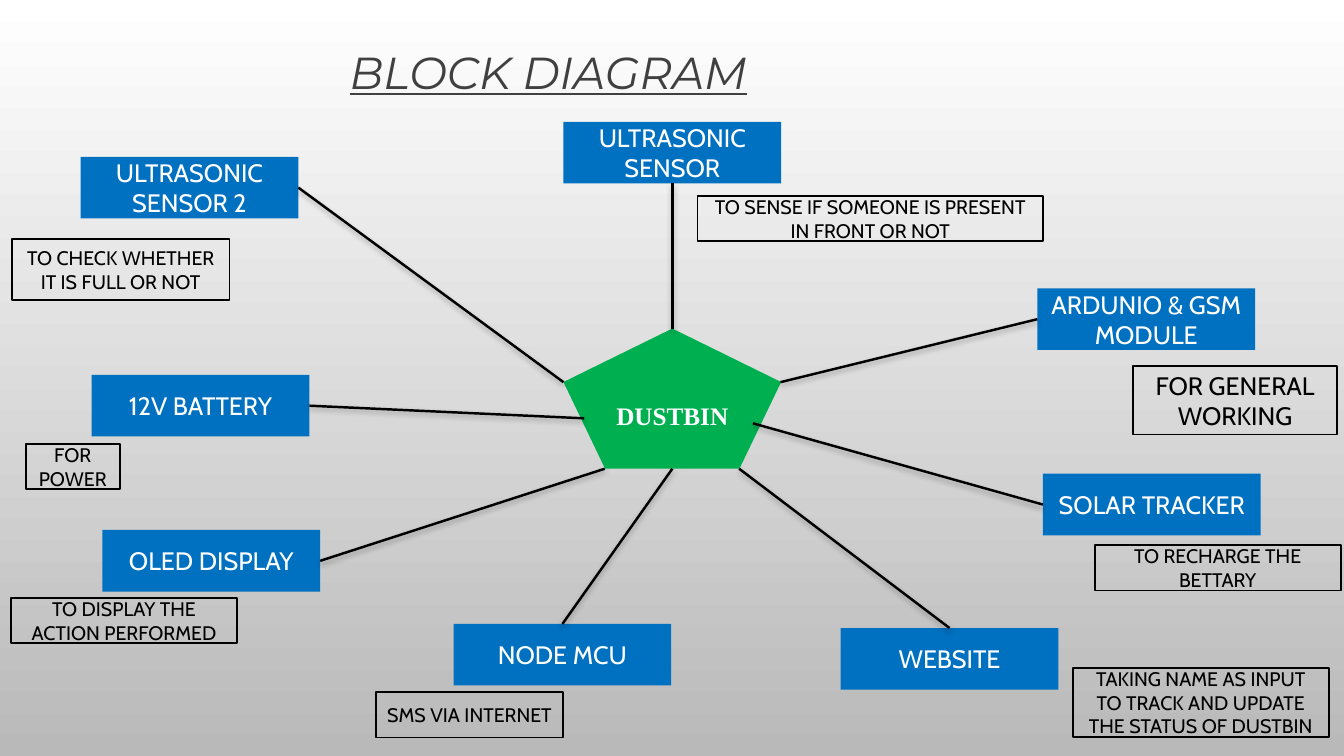
"""Builds the block diagram slide of a smart dustbin."""
from lxml import etree
from pptx import Presentation
from pptx import util as u
from pptx.dml.color import RGBColor
from pptx.enum import shapes, text
from pptx.oxml.ns import qn

TOP, LEFT, BOTTOM, RIGHT = range(4)
BLOCK_SIZE = (155.5, 44)

BLOCKS = [
    ("ULTRASONIC SENSOR", 402.5, 87, BOTTOM, (480.25, 234.7)),
    ("SOLAR TRACKER", 745, 338.4, LEFT, (537.8, 302.4)),
    ("ARDUNIO & GSM MODULE", 741, 206, LEFT, (557.5, 273)),
    ("WEBSITE", 600.5, 448.6, TOP, (528, 334.8)),
    ("NODE MCU", 324, 445.7, TOP, (480.25, 334.8)),
    ("OLED DISPLAY", 73.2, 378.6, RIGHT, (432, 334.8)),
    ("12V BATTERY", 65.5, 267.8, RIGHT, (417.3, 298.8)),
    ("ULTRASONIC SENSOR 2", 57.6, 112, RIGHT, (402.5, 273)),
]

NOTES = [
    ("TO SENSE IF SOMEONE IS PRESENT IN FRONT OR NOT", (498.2, 139.8, 247, 32.4), 14),
    ("TO RECHARGE THE BETTARY", (782, 389.4, 175.7, 32.4), 14),
    ("FOR GENERAL WORKING", (809.2, 261.4, 146, 49), 18),
    ("TO CHECK WHETHER IT IS FULL OR NOT", (8.5, 170.6, 155.5, 44), 14),
    ("FOR POWER", (18.5, 317, 67, 32.4), 14),
    ("TO DISPLAY THE ACTION PERFORMED", (8, 427, 161.3, 32.4), 14),
    ("SMS VIA INTERNET", (268.6, 494.4, 133.5, 32.4), 14),
    ("TAKING NAME AS INPUT TO TRACK AND UPDATE THE STATUS OF DUSTBIN",
     (766.3, 477.2, 182.9, 49), 14),
]


def color(hex_code):
    return RGBColor.from_string(hex_code)


class Diagram:
    def __init__(self, slide):
        self.slide = slide
        self.font = "Cabin"

    def background(self, start, end):
        fill = self.slide.background.fill
        fill.gradient()
        fill.gradient_angle = 270
        for stop, hex_code in zip(fill.gradient_stops, (start, end)):
            stop.color.rgb = color(hex_code)

    def label(self, shape, words, size, hex_code, font=None, align=text.PP_ALIGN.CENTER):
        frame = shape.text_frame
        frame.word_wrap = True
        frame.vertical_anchor = text.MSO_ANCHOR.MIDDLE
        paragraph = frame.paragraphs[0]
        paragraph.alignment = align
        run = paragraph.add_run()
        run.text = words
        run.font.name = font or self.font
        run.font.size = u.Pt(size)
        run.font.color.rgb = color(hex_code)
        return run

    def title(self, words, box):
        shape = self.slide.shapes.title
        shape.left, shape.top, shape.width, shape.height = map(u.Pt, box)
        run = self.label(shape, words, 32, "404040", "Montserrat", text.PP_ALIGN.LEFT)
        run.font.italic = run.font.underline = True
        shape.text_frame.auto_size = text.MSO_AUTO_SIZE.SHAPE_TO_FIT_TEXT

    def shape(self, kind, box, fill=None, line=None):
        shape = self.slide.shapes.add_shape(kind, *map(u.Pt, box))
        shape.shadow.inherit = False
        if fill:
            shape.fill.solid()
            shape.fill.fore_color.rgb = color(fill)
        else:
            shape.fill.background()
        if line:
            shape.line.color.rgb = color(line)
            shape.line.width = u.Pt(1.25)
        else:
            shape.line.fill.background()
        return shape

    def hub(self, words, box):
        shape = self.shape(shapes.MSO_SHAPE.REGULAR_PENTAGON, box, fill="00B050")
        self.label(shape, words, 18, "FFFFFF", "Times New Roman").font.bold = True

    def block(self, words, left, top):
        box = (left, top, *BLOCK_SIZE)
        shape = self.shape(shapes.MSO_SHAPE.RECTANGLE, box, fill="0070C0")
        self.label(shape, words, 18, "FFFFFF")
        return shape

    def note(self, words, box, size):
        shape = self.shape(shapes.MSO_SHAPE.RECTANGLE, box, line="000000")
        self.label(shape, words, size, "000000")

    def link(self, start, block, side):
        x, y = map(u.Pt, start)
        line = self.slide.shapes.add_connector(shapes.MSO_CONNECTOR.STRAIGHT, x, y, x, y)
        line.end_connect(block, side)
        line.line.color.rgb = color("000000")
        line.line.width = u.Pt(1.75)
        effects = etree.SubElement(line._element.spPr, qn("a:effectLst"))
        shadow = etree.SubElement(effects, qn("a:outerShdw"), blurRad=str(u.Pt(4)),
                                  dist=str(u.Pt(2)), dir="5400000", rotWithShape="0")
        tint = etree.SubElement(shadow, qn("a:srgbClr"), val="000000")
        etree.SubElement(tint, qn("a:alpha"), val="28000")


def main():
    presentation = Presentation()
    presentation.slide_width, presentation.slide_height = u.Pt(960), u.Pt(540)
    diagram = Diagram(presentation.slides.add_slide(presentation.slide_layouts[5]))
    diagram.background("FFFFFF", "B9B9B9")
    diagram.title("BLOCK DIAGRAM", (242.6, 28, 397.4, 46))
    diagram.hub("DUSTBIN", (402.5, 234.7, 155.5, 100))
    for words, left, top, side, start in BLOCKS:
        diagram.link(start, diagram.block(words, left, top), side)
    for words, box, size in NOTES:
        diagram.note(words, box, size)
    presentation.save("out.pptx")


if __name__ == "__main__":
    main()
